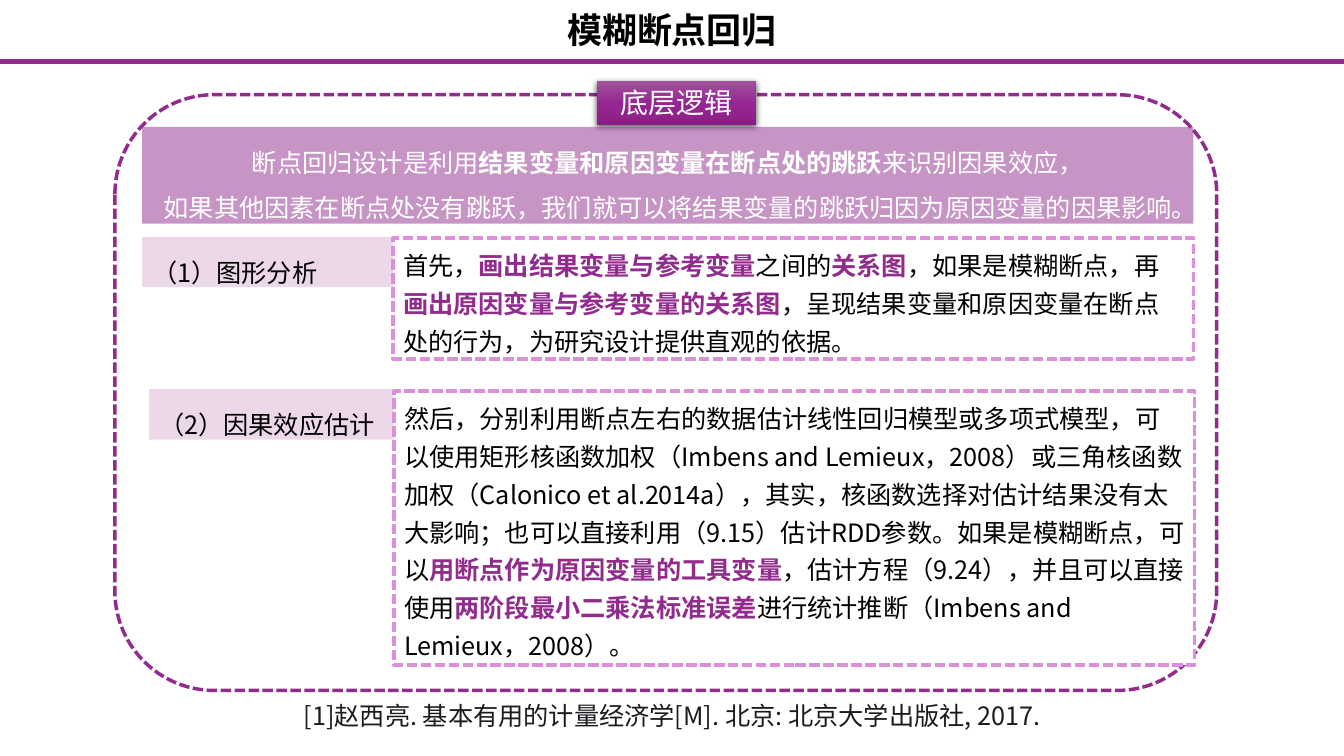
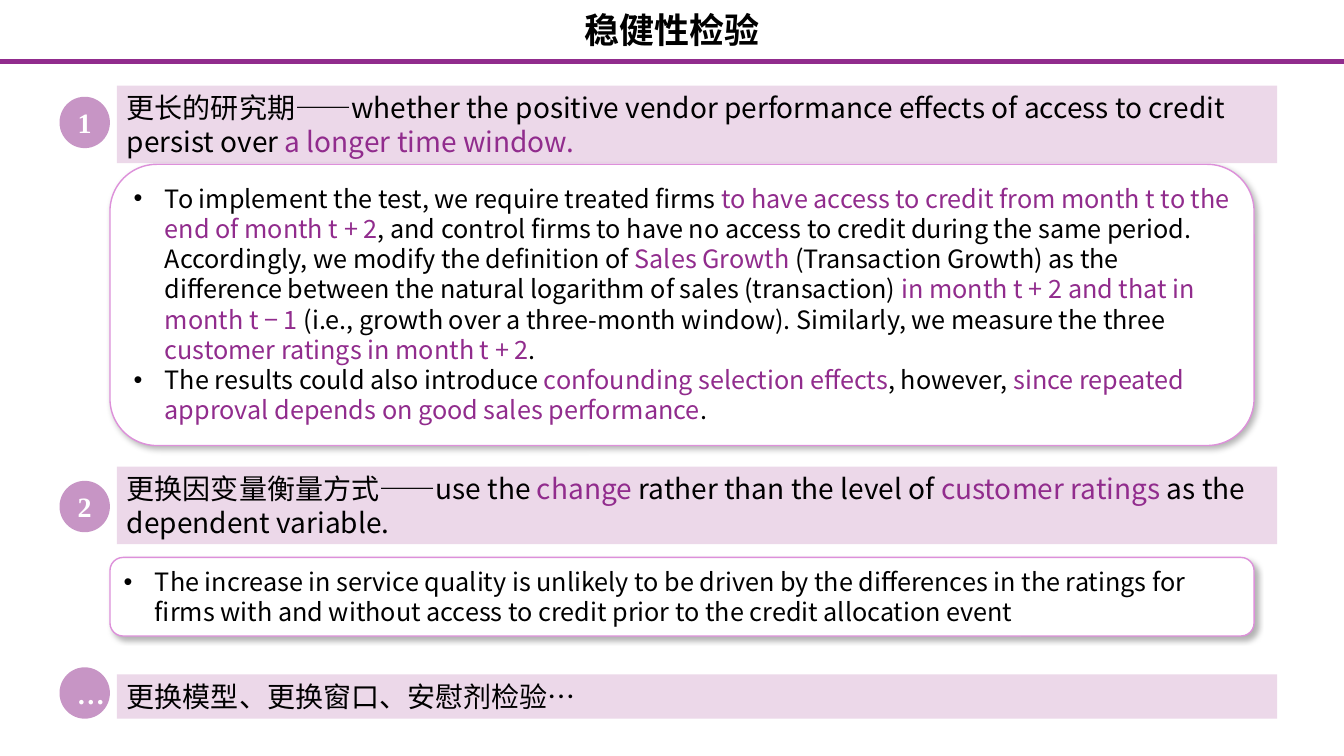
"""Build two lecture slides on regression discontinuity and robustness checks."""
from copy import deepcopy

from lxml.etree import SubElement
from pptx import Presentation
from pptx.dml.color import RGBColor as Rgb
from pptx.enum.dml import MSO_LINE as Dash
from pptx.enum.shapes import MSO_CONNECTOR as Connector, MSO_SHAPE as Shape
from pptx.enum.text import MSO_ANCHOR as Anchor, MSO_AUTO_SIZE as AutoSize, PP_ALIGN as Align
from pptx.oxml.ns import qn
from pptx.util import Inches, Pt

COLORS = {
    "white": "FFFFFF",
    "black": "000000",
    "citation": "191B1F",
    "purple": "912C8D",
    "pale": "ECD8E9",
    "pink": "DD90DA",
    "badge_top": "9F539B",
    "badge_middle": "962792",
    "badge_bottom": "8A1E86",
}
SANS = "Noto Sans CJK SC"
SERIF = "Times New Roman"


def color(name):
    """Return the named colour."""
    return Rgb.from_string(COLORS[name])


def write(shape, text, size=18, ink="black", accent="purple", accent_bold=False, bold=False,
          font=SANS, align=Align.LEFT, anchor=Anchor.TOP, spacing=None, bullet=False, grow=True):
    """Fill a shape with one paragraph a line, where asterisks enclose accented words."""
    frame = shape.text_frame
    frame.word_wrap = True
    frame.auto_size = AutoSize.SHAPE_TO_FIT_TEXT if grow else AutoSize.NONE
    frame.vertical_anchor = anchor
    for row, line in enumerate(text.split("\n")):
        paragraph = frame.add_paragraph() if row else frame.paragraphs[0]
        if bullet:
            properties = paragraph._p.get_or_add_pPr()
            properties.set("marL", str(Inches(0.31)))
            properties.set("indent", str(-Inches(0.31)))
            SubElement(properties, qn("a:buFont"), typeface="Arial")
            SubElement(properties, qn("a:buChar"), char="•")
        paragraph.alignment = align
        paragraph.line_spacing = spacing
        for position, words in enumerate(line.split("*")):
            if not words:
                continue
            accented = position % 2 == 1
            run = paragraph.add_run()
            run.text = words
            run.font.size = Pt(size)
            run.font.bold = bold or (accented and accent_bold)
            run.font.color.rgb = color(accent if accented else ink)
            run.font.name = font
            SubElement(run._r.get_or_add_rPr(), qn("a:ea"), typeface=font)


class Deck:
    """Hold the deck's style and current slide; places are percentages of the slide."""

    def __init__(self):
        """Start an empty widescreen presentation."""
        self.presentation = Presentation()
        self.presentation.slide_width = Inches(13.33)
        self.presentation.slide_height = Inches(7.5)
        self.slide = None

    def place(self, left, top, width, height):
        """Turn percentages of the slide into lengths."""
        across = self.presentation.slide_width / 100
        down = self.presentation.slide_height / 100
        return [round(length) for length in (left * across, top * down, width * across, height * down)]

    def start(self, title):
        """Add a slide with its title and rule."""
        self.slide = self.presentation.slides.add_slide(self.presentation.slide_layouts[6])
        self.text(title, (0, 1.07, 100, 6.4), size=25, bold=True, spacing=0.9,
                  anchor=Anchor.MIDDLE, grow=False)
        left, top, width, _ = self.place(0, 8.13, 100, 0)
        rule = self.slide.shapes.add_connector(Connector.STRAIGHT, left, top, width, top)
        rule.line.color.rgb = color("purple")
        rule.line.width = Pt(3)
        SubElement(rule._element.spPr, qn("a:effectLst"))

    def text(self, text, box, **style):
        """Add a centred text box."""
        write(self.slide.shapes.add_textbox(*self.place(*box)), text, align=Align.CENTER, **style)

    def panel(self, box, kind=Shape.RECTANGLE, fill="white", line=None, width=2.5, dashed=False,
              opacity=None):
        """Add a filled shape with an optional outline."""
        shape = self.slide.shapes.add_shape(kind, *self.place(*box))
        shape.shadow.inherit = False
        shape.fill.solid()
        shape.fill.fore_color.rgb = color(fill)
        if opacity:
            tint = shape._element.spPr.find(".//" + qn("a:srgbClr"))
            SubElement(tint, qn("a:alpha"), val=str(opacity * 1000))
        if line:
            shape.line.color.rgb = color(line)
            shape.line.width = Pt(width)
            if dashed:
                shape.line.dash_style = Dash.SQUARE_DOT
        else:
            shape.line.fill.background()
        return shape

    def cast_shadow(self, shape, opacity, distance, angle):
        """Give a shape a soft black shadow."""
        effects = shape._element.spPr.find(qn("a:effectLst"))
        shadow = SubElement(effects, qn("a:outerShdw"), blurRad=str(Pt(4.5)), dist=str(Pt(distance)),
                            dir=str(angle * 60000), algn="ctr", rotWithShape="0")
        tint = SubElement(shadow, qn("a:srgbClr"), val=COLORS["black"])
        SubElement(tint, qn("a:alpha"), val=str(opacity * 1000))

    def badge(self, text, box):
        """Add a gradient heading plate."""
        shape = self.panel(box)
        shape.fill.gradient()
        shape.fill.gradient_angle = 270
        stops = shape._element.spPr.find(".//" + qn("a:gsLst"))
        stops.insert(1, deepcopy(stops[0]))
        names = ("badge_top", "badge_middle", "badge_bottom")
        for index, (stop, name) in enumerate(zip(shape.fill.gradient_stops, names)):
            stop.position = index / 2
            stop.color.rgb = color(name)
        self.cast_shadow(shape, 63, 1.5, 90)
        write(shape, text, size=20, ink="white", align=Align.CENTER)

    def step_label(self, text, left, top):
        """Add the pale label of a step."""
        write(self.panel((left, top, 18.75, 6.67), fill="pale"), text, spacing=1.5)

    def step_detail(self, text, left, top, height):
        """Add the dashed explanation of a step."""
        shape = self.panel((left, top, 59.55, height), line="pink", dashed=True)
        write(shape, text, accent_bold=True, spacing=1.25)

    def check_header(self, mark, text, top, height, mark_top):
        """Add a robustness check's band and round marker."""
        write(self.panel((8.7, top, 86.33, height), fill="pale"), text, size=20)
        marker = self.panel((4.43, mark_top, 3.75, 6.8), Shape.FLOWCHART_CONNECTOR,
                            fill="purple", opacity=50)
        write(marker, mark, size=20, ink="white", bold=True, font=SERIF, align=Align.CENTER,
              anchor=Anchor.MIDDLE, grow=False)

    def check_card(self, text, top, height):
        """Add a rounded card of bullets."""
        shape = self.panel((8.18, top, 85.13, height), Shape.ROUNDED_RECTANGLE, line="pink", width=1)
        self.cast_shadow(shape, 30, 2.6, 53)
        write(shape, text, bullet=True)


def build_fuzzy_design(deck):
    """Build the slide on the fuzzy design."""
    deck.start("模糊断点回归")
    deck.text("[1]赵西亮. 基本有用的计量经济学[M]. 北京: 北京大学出版社, 2017.",
              (8.33, 92, 83.33, 5.33), ink="citation")
    deck.panel((8.55, 12.53, 81.98, 78.8), Shape.ROUNDED_RECTANGLE, line="purple", dashed=True)
    deck.badge("底层逻辑", (44.4, 10.67, 11.85, 5.87))
    deck.step_label("（1）图形分析", 10.58, 31.33)
    deck.step_label("（2）因果效应估计", 11.1, 51.47)
    deck.step_detail(
        "然后，分别利用断点左右的数据估计线性回归模型或多项式模型，可以使用矩形核函数加权"
        "（Imbens and Lemieux，2008）或三角核函数加权（Calonico et al.2014a），其实，"
        "核函数选择对估计结果没有太大影响；也可以直接利用（9.15）估计RDD参数。"
        "如果是模糊断点，可以*用断点作为原因变量的工具变量*，估计方程（9.24），并且可以直接使用"
        "*两阶段最小二乘法标准误差*进行统计推断（Imbens and Lemieux，2008）。",
        29.33, 51.73, 36.27)
    deck.step_detail(
        "首先，*画出结果变量与参考变量*之间的*关系图*，如果是模糊断点，再"
        "*画出原因变量与参考变量的关系图*，呈现结果变量和原因变量在断点处的行为，"
        "为研究设计提供直观的依据。",
        29.25, 31.47, 16)
    summary = deck.panel((10.58, 16.8, 78.22, 12.8), fill="purple", opacity=50)
    write(summary,
          "断点回归设计是利用*结果变量和原因变量在断点处的跳跃*来识别因果效应，\n"
          "如果其他因素在断点处没有跳跃，我们就可以将结果变量的跳跃归因为原因变量的因果影响。",
          ink="white", accent="white", accent_bold=True, align=Align.CENTER, spacing=1.5)


def build_robustness(deck):
    """Build the slide on robustness checks."""
    deck.start("稳健性检验")
    deck.check_header(
        "1", "更长的研究期——whether the positive vendor performance effects of access to credit "
        "persist over *a longer time window.*", 11.33, 10.27, 12.8)
    deck.check_card(
        "To implement the test, we require treated firms *to have access to credit from month t "
        "to the end of month t + 2*, and control firms to have no access to credit during the same "
        "period. Accordingly, we modify the definition of *Sales Growth *(Transaction Growth) as the "
        "difference between the natural logarithm of sales (transaction) *in month t + 2 and that in "
        "month t − 1 *(i.e., growth over a three-month window). Similarly, we measure the three "
        "*customer ratings in month t + 2*.\n"
        "The results could also introduce *confounding selection effects*, however, "
        "*since repeated approval depends on good sales performance*.", 21.73, 37.2)
    deck.check_header(
        "2", "更换因变量衡量方式——use the *change* rather than the level of *customer ratings *"
        "as the dependent variable.", 61.73, 10.27, 63.6)
    deck.check_card(
        "The increase in service quality is unlikely to be driven by the differences in the ratings "
        "for firms with and without access to credit prior to the credit allocation event",
        73.73, 10.4)
    deck.check_header("…", "更换模型、更换窗口、安慰剂检验…", 89.2, 5.87, 88.27)


def main():
    """Build and save the presentation."""
    deck = Deck()
    build_fuzzy_design(deck)
    build_robustness(deck)
    deck.presentation.save("out.pptx")


if __name__ == "__main__":
    main()
